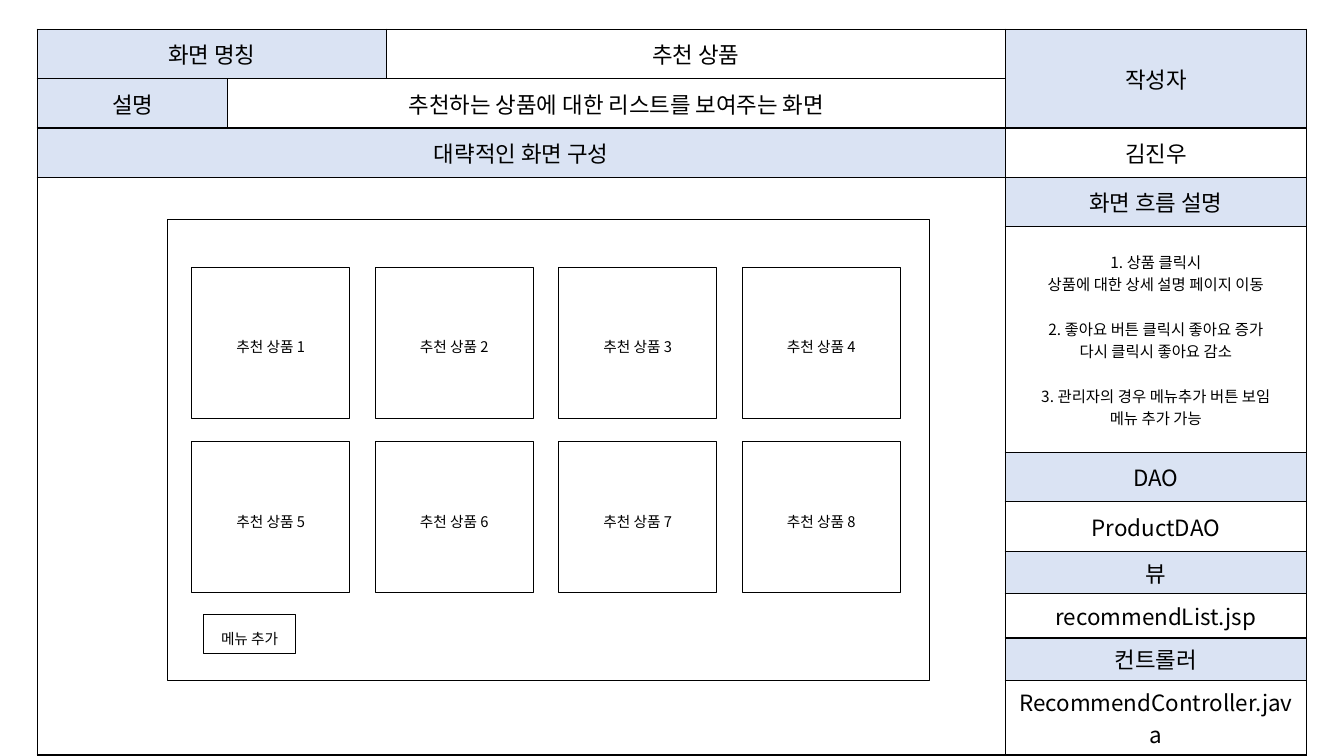
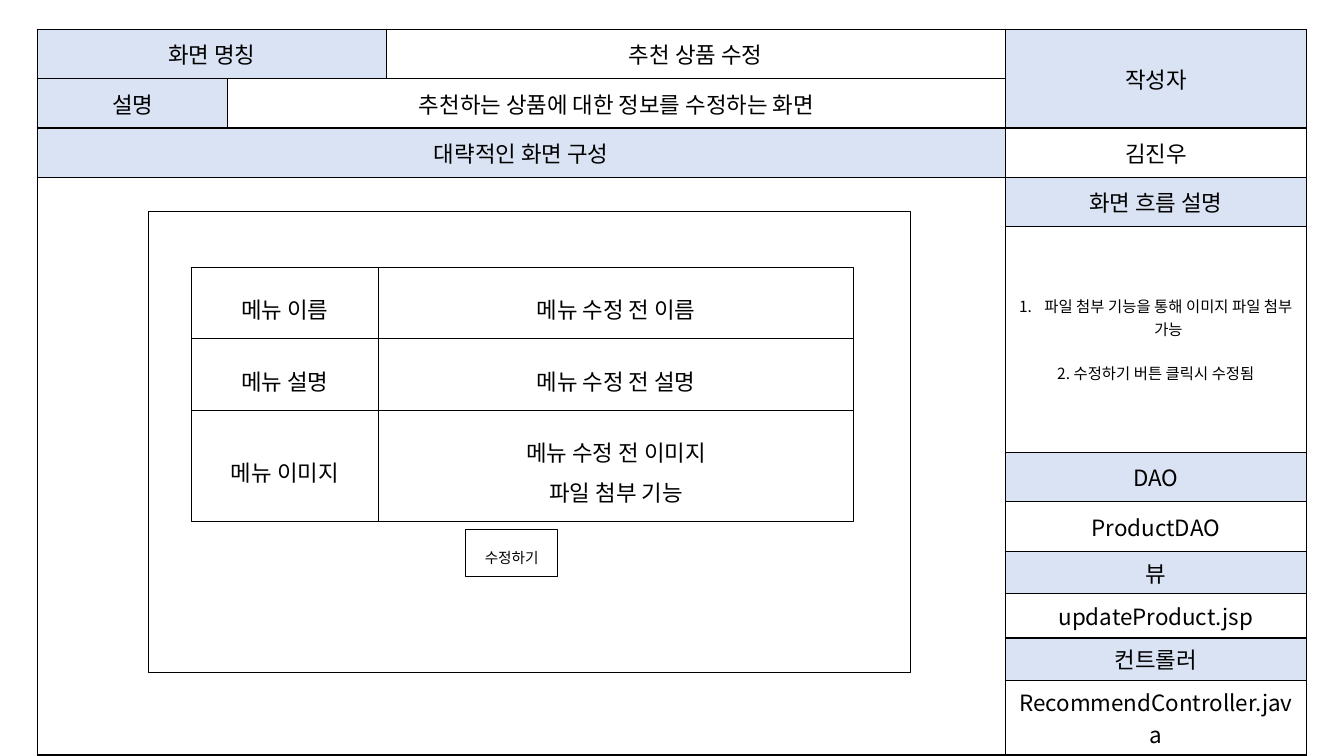
from dataclasses import dataclass

from lxml import etree
from pptx import Presentation
from pptx.dml.color import RGBColor
from pptx.enum import shapes, text
from pptx.oxml import ns
from pptx.util import Inches, Pt


@dataclass(frozen=True)
class Theme:
    font: str = "Noto Sans CJK KR"
    ink: RGBColor = RGBColor(0x00, 0x00, 0x00)
    label: RGBColor = RGBColor(0xDA, 0xE3, 0xF3)
    body: float = 16
    flow: float = 11
    small: float = 10.5
    border: float = 1
    outline: float = 0.75


THEME = Theme()


def write_lines(frame, lines, size, line_spacing=1.0):
    """Fill the frame with centred paragraphs, one per line."""
    frame.word_wrap = True
    frame.vertical_anchor = text.MSO_ANCHOR.MIDDLE
    for index, line in enumerate(lines):
        paragraph = frame.paragraphs[0] if index == 0 else frame.add_paragraph()
        paragraph.alignment = text.PP_ALIGN.CENTER
        paragraph.line_spacing = line_spacing
        run = paragraph.add_run()
        run.text = line
        run.font.name = THEME.font
        run.font.size = Pt(size)
        run.font.color.rgb = THEME.ink
        east_asian = etree.SubElement(run.font._element, ns.qn("a:ea"))
        east_asian.set("typeface", THEME.font)


def add_box(slide, left, top, width, height, lines=(), size=THEME.small):
    box = slide.shapes.add_shape(
        shapes.MSO_SHAPE.RECTANGLE,
        Inches(left), Inches(top), Inches(width), Inches(height))
    box.shadow.inherit = False
    box.fill.background()
    box.line.color.rgb = THEME.ink
    box.line.width = Pt(THEME.outline)
    margins = {"margin_left": 0.04, "margin_top": 0.05,
               "margin_right": 0.04, "margin_bottom": 0.05}
    for side, margin in margins.items():
        setattr(box.text_frame, side, Inches(margin))
    write_lines(box.text_frame, lines, size, line_spacing=1.5)


prs = Presentation()
prs.slide_width, prs.slide_height = Inches(13.33), Inches(7.5)

COLUMNS = [1.89, 1.57, 6.14, 2.99]
ROWS = [0.49, 0.49, 0.49, 0.49, 2.24, 0.49, 0.49, 0.38, 0.44, 0.38, 0.38]
MERGES = [((0, 0), (0, 1)), ((0, 3), (1, 3)), ((1, 1), (1, 2)),
          ((2, 0), (2, 2)), ((3, 0), (10, 2))]
LABELS = {(0, 0): "화면 명칭", (0, 3): "작성자", (1, 0): "설명",
          (2, 0): "대략적인 화면 구성", (3, 3): "화면 흐름 설명",
          (5, 3): "DAO", (7, 3): "뷰", (9, 3): "컨트롤러"}
SHARED_VALUES = {(2, 3): "김진우", (6, 3): "ProductDAO",
                 (10, 3): "RecommendController.java"}
FLOW_CELL = (4, 3)

screens = [
    {"name": "추천 상품",
     "summary": "추천하는 상품에 대한 리스트를 보여주는 화면",
     "view": "recommendList.jsp",
     "flow": ["1. 상품 클릭시", "상품에 대한 상세 설명 페이지 이동",
              "2. 좋아요 버튼 클릭시 좋아요 증가", "다시 클릭시 좋아요 감소",
              "3. 관리자의 경우 메뉴추가 버튼 보임", "메뉴 추가 가능"],
     "step_starts": [2, 4], "numbered": []},
    {"name": "추천 상품 수정",
     "summary": "추천하는 상품에 대한 정보를 수정하는 화면",
     "view": "updateProduct.jsp",
     "flow": ["파일 첨부 기능을 통해 이미지 파일 첨부 가능",
              "2. 수정하기 버튼 클릭시 수정됨"],
     "step_starts": [1], "numbered": [0]},
]

# Specification table on every slide
for screen in screens:
    slide = prs.slides.add_slide(prs.slide_layouts[6])
    spec_table = slide.shapes.add_table(
        len(ROWS), len(COLUMNS), Inches(0.37), Inches(0.29),
        Inches(sum(COLUMNS)), Inches(sum(ROWS))).table
    spec_table.first_row = spec_table.horz_banding = False
    for column, width in zip(spec_table.columns, COLUMNS):
        column.width = Inches(width)
    for row, height in zip(spec_table.rows, ROWS):
        row.height = Inches(height)
    for first, last in MERGES:
        spec_table.cell(*first).merge(spec_table.cell(*last))

    values = {**LABELS, **SHARED_VALUES, (0, 2): screen["name"],
              (1, 1): screen["summary"], (8, 3): screen["view"]}
    for r in range(len(ROWS)):
        for c in range(len(COLUMNS)):
            cell = spec_table.cell(r, c)
            properties = cell._tc.get_or_add_tcPr()
            for side in ("lnL", "lnR", "lnT", "lnB"):
                border = etree.SubElement(properties, ns.qn(f"a:{side}"))
                border.set("w", str(Pt(THEME.border)))
                line_fill = etree.SubElement(border, ns.qn("a:solidFill"))
                color = etree.SubElement(line_fill, ns.qn("a:srgbClr"))
                color.set("val", str(THEME.ink))
            if (r, c) in LABELS:
                cell.fill.solid()
                cell.fill.fore_color.rgb = THEME.label
            else:
                cell.fill.background()
            cell.vertical_anchor = text.MSO_ANCHOR.MIDDLE
            if (r, c) in values:
                write_lines(cell.text_frame, [values[r, c]], THEME.body)

    flow_frame = spec_table.cell(*FLOW_CELL).text_frame
    write_lines(flow_frame, screen["flow"], THEME.flow)
    for index in screen["step_starts"]:
        flow_frame.paragraphs[index].space_before = Pt(16)
    for index in screen["numbered"]:
        paragraph_format = flow_frame.paragraphs[index]._p.get_or_add_pPr()
        paragraph_format.set("marL", str(Inches(0.25)))
        paragraph_format.set("indent", str(Inches(-0.25)))
        numbering = etree.SubElement(paragraph_format, ns.qn("a:buAutoNum"))
        numbering.set("type", "arabicPeriod")

list_slide, edit_slide = prs.slides

# Product list screen
add_box(list_slide, 1.66, 2.18, 7.56, 4.57)
for index in range(8):
    row, column = divmod(index, 4)
    add_box(list_slide, 1.9 + 1.82 * column, 2.65 + 1.73 * row, 1.57, 1.5,
            [f"추천 상품 {index + 1}"])
add_box(list_slide, 2.02, 6.1, 0.91, 0.38, ["메뉴 추가"])

# Product edit screen
add_box(edit_slide, 1.47, 2.1, 7.56, 4.57)
fields = [("메뉴 이름", ["메뉴 수정 전 이름"], 0.71),
          ("메뉴 설명", ["메뉴 수정 전 설명"], 0.71),
          ("메뉴 이미지", ["메뉴 수정 전 이미지", "파일 첨부 기능"], 1.1)]
field_top = 2.65
for label, content, height in fields:
    add_box(edit_slide, 1.9, field_top, 1.85, height, [label], THEME.body)
    add_box(edit_slide, 3.75, field_top, 4.72, height, content, THEME.body)
    field_top += height
add_box(edit_slide, 4.62, 5.25, 0.91, 0.47, ["수정하기"])

prs.save("out.pptx")
